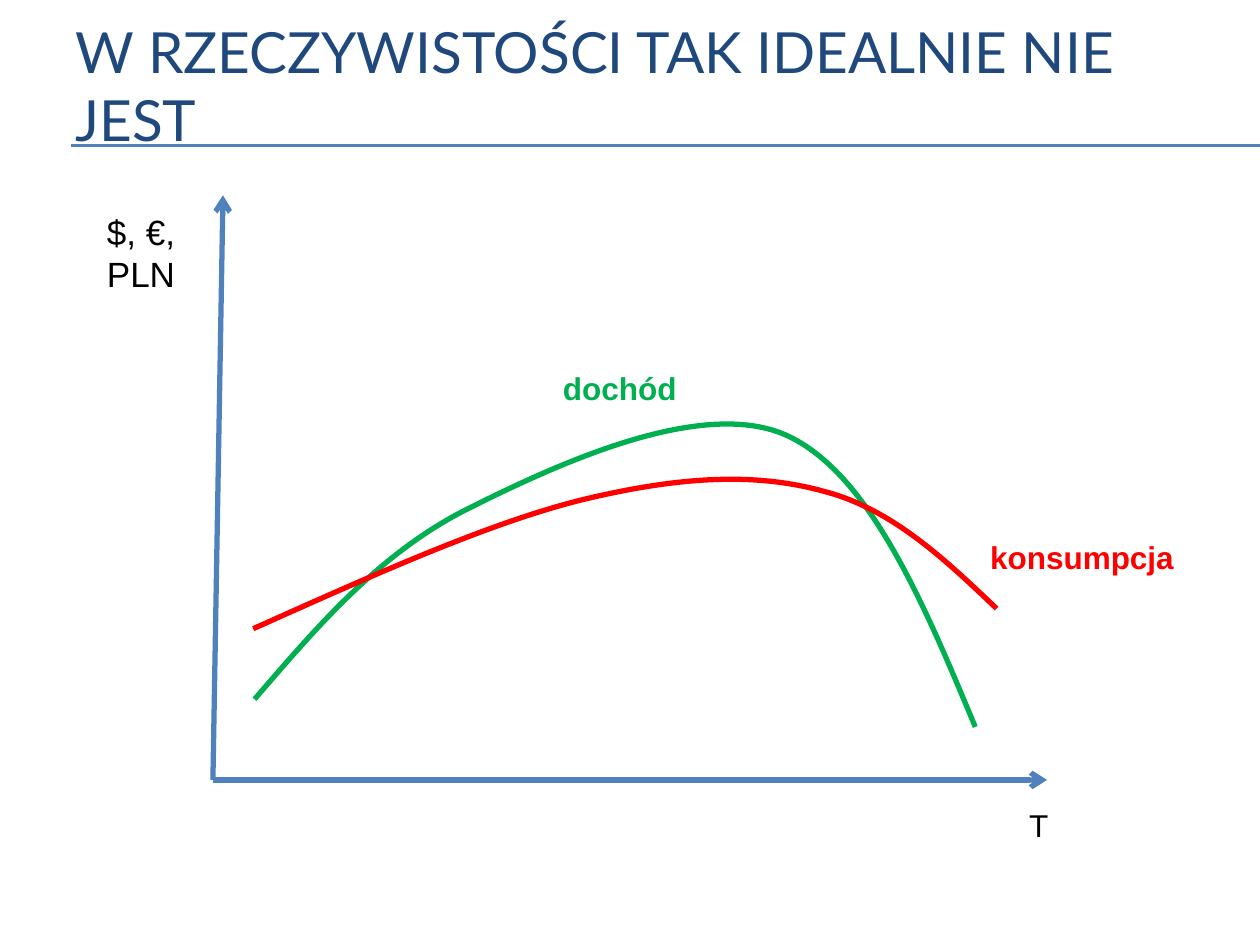
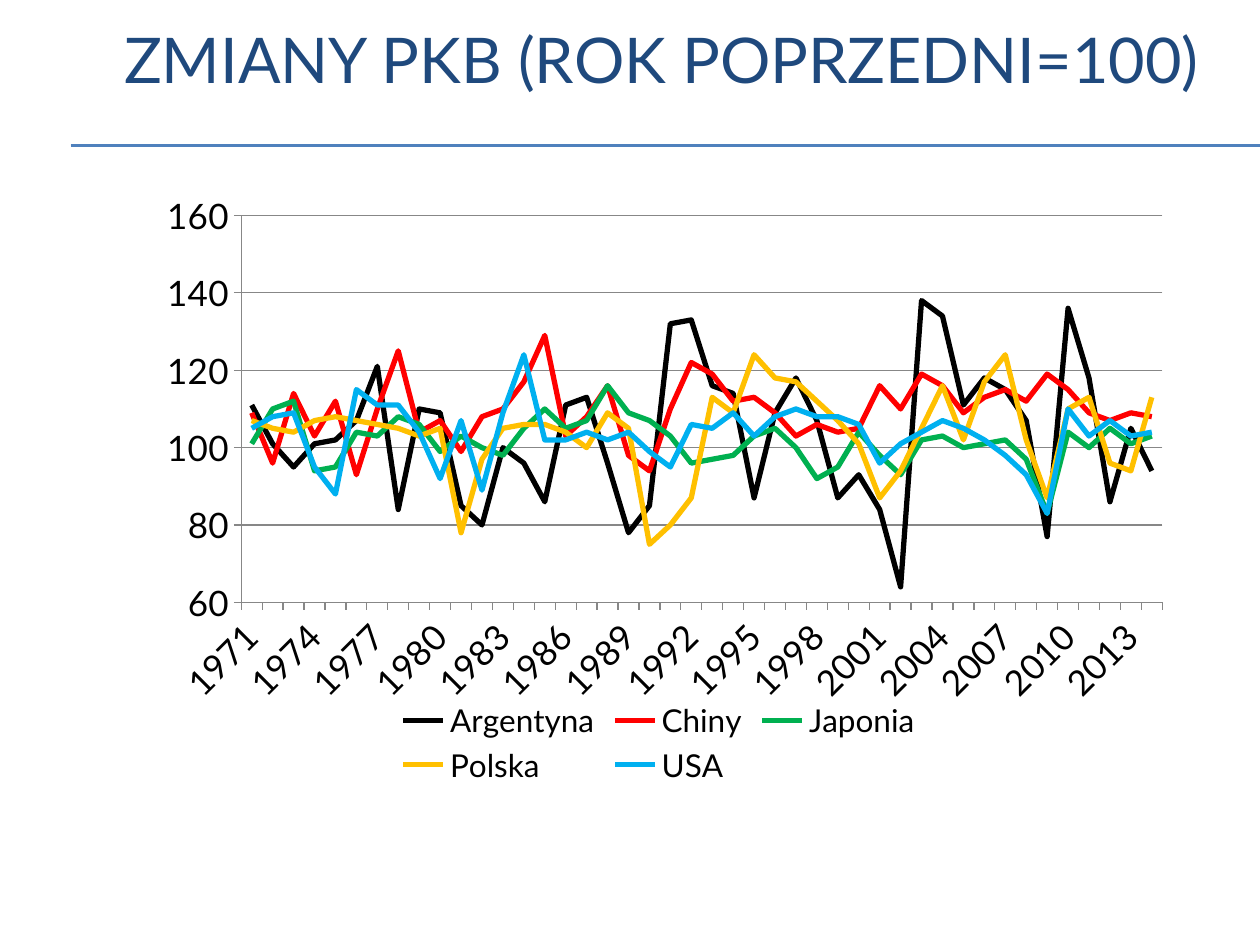
from dataclasses import dataclass

from lxml.etree import SubElement
from pptx import Presentation
from pptx.chart.data import CategoryChartData
from pptx.dml.color import RGBColor
from pptx.enum.chart import XL_CHART_TYPE, XL_LEGEND_POSITION, XL_TICK_MARK
from pptx.enum.shapes import MSO_CONNECTOR
from pptx.enum.text import MSO_ANCHOR, MSO_AUTO_SIZE, PP_ALIGN
from pptx.oxml.ns import qn
from pptx.util import Inches, Pt


@dataclass(frozen=True)
class Theme:
    title_font: str = "Lato"
    label_font: str = "Arial"
    title_color: str = "1F497D"
    accent: str = "4F81BD"
    text: str = "000000"
    grid: str = "878787"
    red: str = "FF0000"
    green: str = "00B050"
    amber: str = "FFC000"
    sky: str = "00B0F0"
    rule_width: float = 0.75
    thick_width: float = 3
    large_size: int = 20
    label_size: int = 18


@dataclass(frozen=True)
class Box:
    """A region in inches."""
    left: float
    top: float
    width: float
    height: float

    def point(self, x, y):
        return Inches(self.left + x), Inches(self.top + y)

    def area(self):
        return [Inches(n) for n in (self.left, self.top, self.width, self.height)]


THEME = Theme()

# Control points of the cubic curves, relative to the diagram box
INCOME_CURVE = [(1.27, 4.0), (1.77, 3.42), (2.27, 2.83), (2.98, 2.48), (3.68, 2.13),
                (4.81, 1.61), (5.48, 1.9), (6.14, 2.19), (6.57, 3.21), (6.99, 4.22)]
CONSUMPTION_CURVE = [(1.26, 3.44), (2.2, 3.02), (3.15, 2.59), (3.9, 2.41), (4.66, 2.23),
                     (5.25, 2.2), (5.79, 2.35), (6.33, 2.49), (6.75, 2.89), (7.16, 3.28)]

YEARS = [str(year) for year in range(1971, 2015)]
GDP_SERIES = [
    ("Argentyna", THEME.text, [
        111, 101, 95, 101, 102, 107, 121, 84, 110, 109, 85, 80, 100, 96, 86,
        111, 113, 96, 78, 85, 132, 133, 116, 114, 87, 109, 118, 107, 87, 93,
        84, 64, 138, 134, 111, 118, 115, 107, 77, 136, 118, 86, 105, 94]),
    ("Chiny", THEME.red, [
        109, 96, 114, 103, 112, 93, 110, 125, 104, 107, 99, 108, 110, 117, 129,
        103, 108, 116, 98, 94, 110, 122, 119, 112, 113, 109, 103, 106, 104, 105,
        116, 110, 119, 116, 109, 113, 115, 112, 119, 115, 109, 107, 109, 108]),
    ("Japonia", THEME.green, [
        101, 110, 112, 94, 95, 104, 103, 108, 106, 99, 103, 100, 98, 105, 110,
        105, 107, 116, 109, 107, 103, 96, 97, 98, 103, 105, 100, 92, 95, 104,
        98, 93, 102, 103, 100, 101, 102, 97, 83, 104, 100, 105, 101, 103]),
    ("Polska", THEME.amber, [
        107, 105, 104, 107, 108, 107, 106, 105, 103, 105, 78, 97, 105, 106, 106,
        104, 100, 109, 105, 75, 80, 87, 113, 109, 124, 118, 117, 112, 107, 101,
        87, 94, 105, 116, 102, 117, 124, 102, 87, 110, 113, 96, 94, 113]),
    ("USA", THEME.sky, [
        105, 108, 109, 95, 88, 115, 111, 111, 104, 92, 107, 89, 109, 124, 102,
        102, 104, 102, 104, 99, 95, 106, 105, 109, 103, 108, 110, 108, 108, 106,
        96, 101, 104, 107, 105, 102, 98, 93, 83, 110, 103, 107, 103, 104]),
]


def style_font(font, name, size, color, bold=False):
    font.name, font.size, font.bold = name, Pt(size), bold
    font.color.rgb = RGBColor.from_string(color)


def style_line(line, color, width):
    line.color.rgb = RGBColor.from_string(color)
    line.width = Pt(width)


def add_line(slide, start, end, width, arrow=False):
    connector = slide.shapes.add_connector(MSO_CONNECTOR.STRAIGHT, *start, *end)
    style_line(connector.line, THEME.accent, width)
    properties = connector.element.spPr
    if arrow:
        SubElement(properties.find(qn("a:ln")), qn("a:tailEnd"), type="arrow")
    SubElement(properties, qn("a:effectLst"))


def add_titled_slide(presentation, title, box, size, alignment):
    slide = presentation.slides.add_slide(presentation.slide_layouts[5])
    # Double rule under the title
    for y in (1.15, 1.16):
        add_line(slide, (Inches(0.56), Inches(y)), (Inches(10), Inches(y)), THEME.rule_width)
    # Title
    shape = slide.shapes.title
    shape.left, shape.top, shape.width, shape.height = box.area()
    frame = shape.text_frame
    frame.text = title
    frame.word_wrap = True
    frame.auto_size = MSO_AUTO_SIZE.NONE
    frame.vertical_anchor = MSO_ANCHOR.MIDDLE
    paragraph = frame.paragraphs[0]
    paragraph.alignment = alignment
    style_font(paragraph.runs[0].font, THEME.title_font, size, THEME.title_color)
    return slide


def add_label(slide, text, box, size, color, bold=False):
    frame = slide.shapes.add_textbox(*box.area()).text_frame
    frame.text = text
    frame.word_wrap = True
    frame.auto_size = MSO_AUTO_SIZE.SHAPE_TO_FIT_TEXT
    style_font(frame.paragraphs[0].runs[0].font, THEME.label_font, size, color, bold)


def add_curve(slide, box, points, color):
    start, *controls = [box.point(x, y) for x, y in points]
    builder = slide.shapes.build_freeform(*start)
    builder.add_line_segments(controls, close=False)
    shape = builder.convert_to_shape()
    shape.shadow.inherit = False
    shape.fill.background()
    style_line(shape.line, color, THEME.thick_width)
    # Turn every three straight segments into one cubic segment
    outline = shape.element.find(".//" + qn("a:path"))
    segments = outline.findall(qn("a:lnTo"))
    for first in range(0, len(segments), 3):
        cubic = SubElement(outline, qn("a:cubicBezTo"))
        for segment in segments[first:first + 3]:
            cubic.append(segment[0])
            outline.remove(segment)


def add_life_cycle_diagram(slide, box):
    # Axes
    origin = box.point(0.94, 4.64)
    for tip in ((1.02, 0), (7.56, 4.64)):
        add_line(slide, origin, box.point(*tip), THEME.thick_width, arrow=True)
    # Curves
    add_curve(slide, box, INCOME_CURVE, THEME.green)
    add_curve(slide, box, CONSUMPTION_CURVE, THEME.red)
    # Labels
    for text, x, y, width, height, size, color, bold in (
        ("$, €, PLN", 0, 0.07, 0.79, 0.77, THEME.large_size, THEME.text, False),
        ("T", 7.32, 4.8, 0.79, 0.4, THEME.label_size, THEME.text, False),
        ("dochód", 3.62, 1.33, 2.13, 0.4, THEME.label_size, THEME.green, True),
        ("konsumpcja", 7.01, 2.67, 1.89, 0.4, THEME.label_size, THEME.red, True),
    ):
        label_box = Box(box.left + x, box.top + y, width, height)
        add_label(slide, text, label_box, size, color, bold)


def set_plot_layout(chart, x, y, width, height):
    plot_area = chart.element.find(".//" + qn("c:plotArea"))
    for layout in plot_area.findall(qn("c:layout")):
        plot_area.remove(layout)
    layout = SubElement(plot_area, qn("c:layout"))
    plot_area.insert(0, layout)
    manual = SubElement(layout, qn("c:manualLayout"))
    for tag, value in (("layoutTarget", "inner"), ("xMode", "edge"), ("yMode", "edge"),
                       ("x", x), ("y", y), ("w", width), ("h", height)):
        SubElement(manual, qn("c:" + tag), val=str(value))


def add_gdp_chart(slide, box):
    data = CategoryChartData(number_format="0")
    data.categories = YEARS
    for name, _, values in GDP_SERIES:
        data.add_series(name, values)
    chart = slide.shapes.add_chart(XL_CHART_TYPE.LINE, *box.area(), data).chart
    chart.has_title = False
    style_font(chart.font, THEME.title_font, 10, THEME.text)
    set_plot_layout(chart, 0.11, 0.05, 0.86, 0.64)
    # Series
    plot = chart.plots[0]
    plot.vary_by_categories = False
    for series, (_, color, _) in zip(plot.series, GDP_SERIES):
        series.smooth = False
        style_line(series.format.line, color, THEME.thick_width)
    # Axes
    for axis in (chart.category_axis, chart.value_axis):
        axis.major_tick_mark = XL_TICK_MARK.OUTSIDE
        axis.minor_tick_mark = XL_TICK_MARK.NONE
        style_font(axis.tick_labels.font, THEME.title_font, THEME.large_size, THEME.text)
        style_line(axis.format.line, THEME.grid, THEME.rule_width)
    category_axis = chart.element.find(".//" + qn("c:catAx"))
    years_text = category_axis.find(qn("c:txPr"))
    years_text.find(qn("a:bodyPr")).set("rot", "-2700000")
    value_axis = chart.value_axis
    value_axis.minimum_scale, value_axis.maximum_scale = 60, 160
    value_axis.major_unit = 20
    value_axis.has_major_gridlines = True
    style_line(value_axis.major_gridlines.format.line, THEME.grid, THEME.rule_width)
    # Legend
    chart.has_legend = True
    chart.legend.position = XL_LEGEND_POSITION.BOTTOM
    chart.legend.include_in_layout = False
    style_font(chart.legend.font, THEME.title_font, THEME.label_size, THEME.text)


def main():
    presentation = Presentation()
    presentation.slide_width, presentation.slide_height = Inches(10), Inches(7.5)

    slide = add_titled_slide(presentation, "W RZECZYWISTOŚCI TAK IDEALNIE NIE JEST",
                             Box(0.5, 0.21, 9.5, 0.92), 32.4, PP_ALIGN.LEFT)
    add_life_cycle_diagram(slide, Box(0.75, 1.55, 8.9, 5.2))

    slide = add_titled_slide(presentation, "ZMIANY PKB (ROK POPRZEDNI=100)",
                             Box(0.5, 0, 9.5, 0.92), 36, PP_ALIGN.CENTER)
    add_gdp_chart(slide, Box(0.98, 1.47, 8.5, 4.8))

    presentation.save("out.pptx")


if __name__ == "__main__":
    main()
